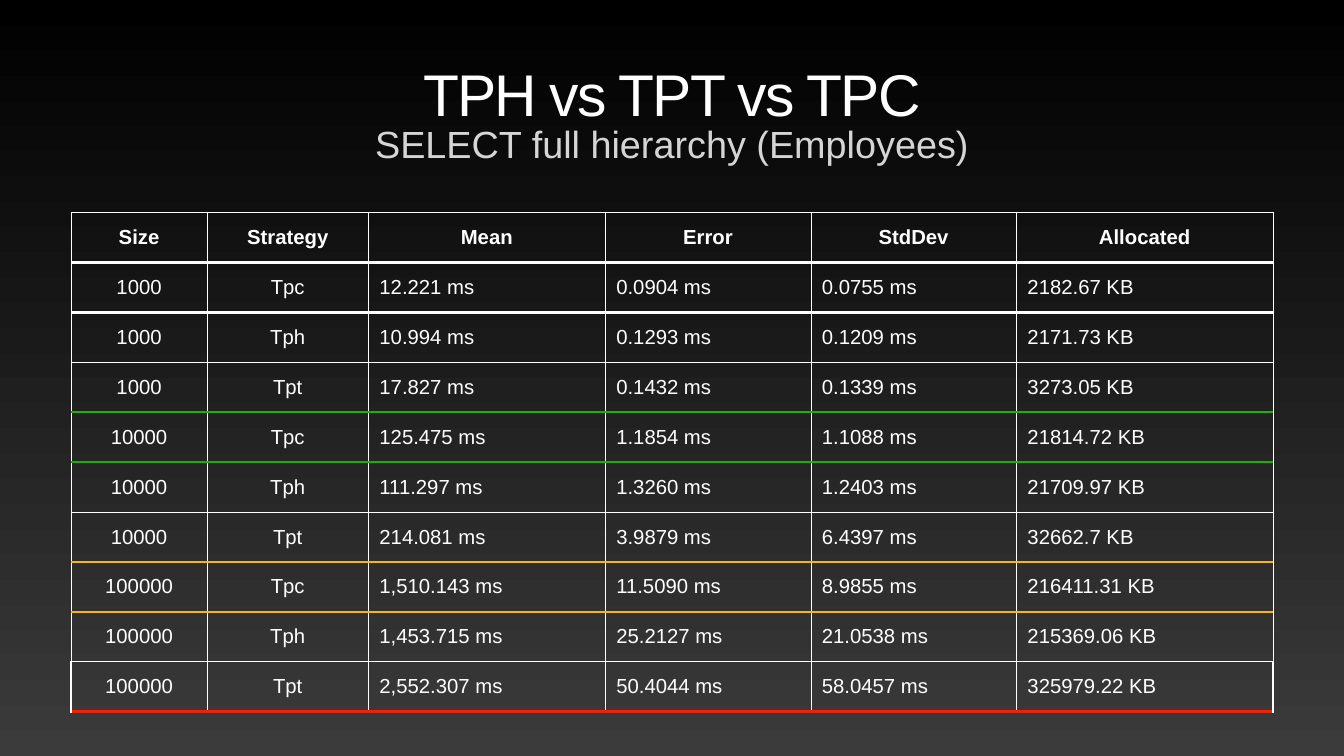
from dataclasses import dataclass
from typing import Any

from pptx import Presentation
from pptx.dml.color import RGBColor
from pptx.enum.text import MSO_ANCHOR as Anchor, MSO_AUTO_SIZE as AutoSize, PP_ALIGN as Align
from pptx.oxml import parse_xml
from pptx.oxml.ns import nsdecls
from pptx.util import Inches, Pt

BLACK = RGBColor(0x00, 0x00, 0x00)
CHARCOAL = RGBColor(0x3B, 0x3B, 0x3B)
WHITE = RGBColor(0xFF, 0xFF, 0xFF)
GREY = RGBColor(0x92, 0x92, 0x92)
SILVER = RGBColor(0xD5, 0xD5, 0xD5)
GREEN = RGBColor(0x1D, 0xB1, 0x00)
AMBER = RGBColor(0xF9, 0xB9, 0x00)
RED = RGBColor(0xEE, 0x22, 0x0D)

THIN, THICK = 1, 4
CENTRED_COLUMNS = 2
COLUMN_WIDTHS = [2.7, 3.2, 4.7, 4.08, 4.08, 5.09]
ROW_HEIGHT = 0.99

HEADER = ["Size", "Strategy", "Mean", "Error", "StdDev", "Allocated"]
RESULTS = [
    ["1000", "Tpc", "12.221 ms", "0.0904 ms", "0.0755 ms", "2182.67 KB"],
    ["1000", "Tph", "10.994 ms", "0.1293 ms", "0.1209 ms", "2171.73 KB"],
    ["1000", "Tpt", "17.827 ms", "0.1432 ms", "0.1339 ms", "3273.05 KB"],
    ["10000", "Tpc", "125.475 ms", "1.1854 ms", "1.1088 ms", "21814.72 KB"],
    ["10000", "Tph", "111.297 ms", "1.3260 ms", "1.2403 ms", "21709.97 KB"],
    ["10000", "Tpt", "214.081 ms", "3.9879 ms", "6.4397 ms", "32662.7 KB"],
    ["100000", "Tpc", "1,510.143 ms", "11.5090 ms", "8.9855 ms", "216411.31 KB"],
    ["100000", "Tph", "1,453.715 ms", "25.2127 ms", "21.0538 ms", "215369.06 KB"],
    ["100000", "Tpt", "2,552.307 ms", "50.4044 ms", "58.0457 ms", "325979.22 KB"],
]
# Horizontal rules by position, counted from the top edge of the table.
ACCENT_RULES = {1: WHITE, 2: WHITE, 4: GREEN, 5: GREEN, 7: AMBER, 8: AMBER, 10: RED}


def fade_down(fill, top, bottom):
    fill.gradient()
    fill.gradient_angle = 270
    for stop, color, position in zip(fill.gradient_stops, (top, bottom), (0, 1)):
        stop.color.rgb = color
        stop.position = position


def set_borders(cell, borders):
    """Draw the (color, points) pairs given for left, right, top and bottom."""
    properties = cell._tc.get_or_add_tcPr()
    for index, (side, (color, points)) in enumerate(zip("LRTB", borders)):
        line = parse_xml(
            f'<a:ln{side} {nsdecls("a")} w="{Pt(points)}" cap="flat" cmpd="sng">'
            f'<a:solidFill><a:srgbClr val="{color}"/></a:solidFill>'
            f'<a:prstDash val="solid"/></a:ln{side}>')
        properties.insert(index, line)


@dataclass
class SlideBuilder:
    page: Any
    font: str = "Arial"
    inset: float = 0.06
    cell_inset: float = 0.01
    cell_indent: float = 0.21
    table_size: int = 29

    def background(self, top, bottom):
        fade_down(self.page.background.fill, top, bottom)

    def format_run(self, run, size, color, bold=False):
        run.font.name = self.font
        run.font.size = Pt(size)
        run.font.bold = bold
        run.font.color.rgb = color

    def heading(self, box, text, place, size, color, anchor):
        box.left, box.top, box.width, box.height = map(Inches, place)
        frame = box.text_frame
        frame.text = text
        frame.word_wrap = True
        frame.auto_size = AutoSize.NONE
        frame.vertical_anchor = anchor
        frame.margin_left = frame.margin_right = Inches(self.inset)
        frame.margin_top = frame.margin_bottom = Inches(self.inset)
        para = frame.paragraphs[0]
        para.alignment = Align.CENTER
        para.space_before = Pt(0)
        self.format_run(para.runs[0], size, color)
        return para

    def title(self, text, place):
        para = self.heading(self.page.shapes.title, text, place, 84, WHITE, Anchor.BOTTOM)
        para.line_spacing = 0.8
        span = para.runs[0]
        fade_down(span.font.fill, WHITE, GREY)
        span.font._element.set("spc", "-250")

    def subtitle(self, text, place):
        body = self.page.placeholders[1]
        para = self.heading(body, text, place, 54, SILVER, Anchor.TOP)
        properties = para._p.get_or_add_pPr()
        properties.set("marL", "0")
        properties.set("indent", "0")
        properties.append(parse_xml(f'<a:buNone {nsdecls("a")}/>'))

    def cell(self, cell, text, centred, bold):
        cell.text = text
        cell.fill.background()
        cell.vertical_anchor = Anchor.MIDDLE
        cell.margin_left = cell.margin_right = Inches(self.cell_inset)
        cell.margin_top = cell.margin_bottom = Inches(self.cell_inset)
        para = cell.text_frame.paragraphs[0]
        if centred:
            para.alignment = Align.CENTER
        else:
            para.alignment = Align.LEFT
            para._p.get_or_add_pPr().set("indent", str(Inches(self.cell_indent)))
        self.format_run(para.runs[0], self.table_size, WHITE, bold)

    def table(self, rows, left, top):
        last_row, last_column = len(rows) - 1, len(COLUMN_WIDTHS) - 1
        table = self.page.shapes.add_table(
            len(rows), len(COLUMN_WIDTHS), Inches(left), Inches(top),
            Inches(sum(COLUMN_WIDTHS)), Inches(ROW_HEIGHT * len(rows))).table
        table.horz_banding = False
        for column, width in zip(table.columns, COLUMN_WIDTHS):
            column.width = Inches(width)

        def rule(position):
            if position in ACCENT_RULES:
                return ACCENT_RULES[position], THICK
            return WHITE, THIN

        for r, values in enumerate(rows):
            table.rows[r].height = Inches(ROW_HEIGHT)
            for c, text in enumerate(values):
                cell = table.cell(r, c)
                is_header = r == 0
                self.cell(cell, text, is_header or c < CENTRED_COLUMNS, is_header)
                left_width = THICK if (r, c) == (last_row, 0) else THIN
                right_width = THICK if (r, c) == (last_row, last_column) else THIN
                set_borders(cell, [(WHITE, left_width), (WHITE, right_width),
                                   rule(r), rule(r + 1)])


def main():
    deck = Presentation()
    deck.slide_width, deck.slide_height = Inches(26.67), Inches(15)
    builder = SlideBuilder(deck.slides.add_slide(deck.slide_layouts[1]))
    builder.background(BLACK, CHARCOAL)
    builder.title("TPH vs TPT vs TPC", (1.39, 0.89, 23.89, 1.7))
    builder.subtitle("SELECT full hierarchy (Employees)", (1.39, 2.33, 23.89, 1.11))
    builder.table([HEADER, *RESULTS], 1.41, 4.22)
    deck.save("out.pptx")


if __name__ == "__main__":
    main()
